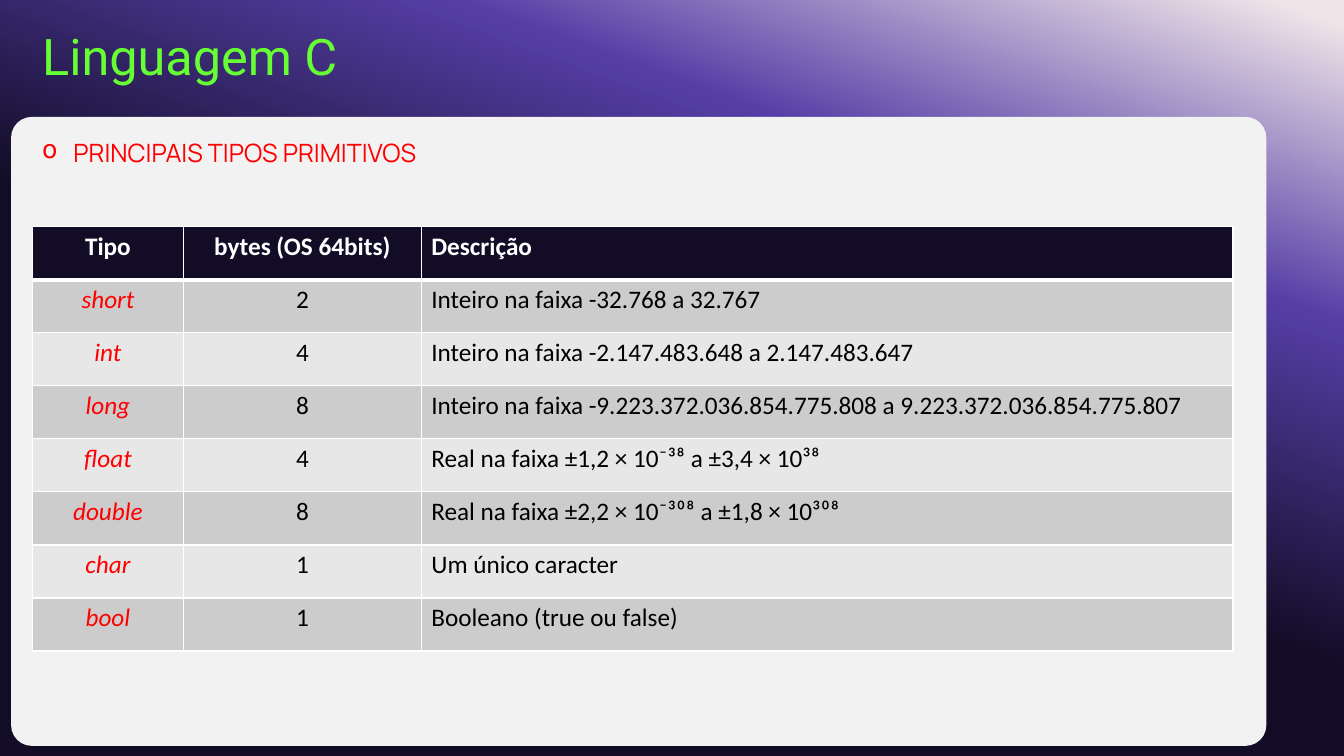
from lxml import etree
from pptx import Presentation
from pptx import util as u
from pptx.dml.color import RGBColor
from pptx.enum import shapes, text
from pptx.oxml.ns import qn

WIDTH, HEIGHT = 13.33, 7.5
LEFT = 0.32
PANEL = (0.11, 1.16, 12.45, 6.24)
COLUMN_SHARES = (0.126, 0.198, 0.676)
GRADIENT = ((2, "EFE4E8"), (26, "553FA6"), (54, "120C26"), (96, "120C26"))
HEADER = ("Tipo", "bytes (OS 64bits)", "Descrição")
TYPES = (
    ("short", "2", "Inteiro na faixa -32.768 a 32.767"),
    ("int", "4", "Inteiro na faixa -2.147.483.648 a 2.147.483.647"),
    ("long", "8", "Inteiro na faixa -9.223.372.036.854.775.808 a 9.223.372.036.854.775.807"),
    ("float", "4", "Real na faixa ±1,2 × 10⁻³⁸ a ±3,4 × 10³⁸"),
    ("double", "8", "Real na faixa ±2,2 × 10⁻³⁰⁸ a ±1,8 × 10³⁰⁸"),
    ("char", "1", "Um único caracter"),
    ("bool", "1", "Booleano (true ou false)"),
)


def rgb(value):
    """Return the colour for a hex string."""
    return RGBColor.from_string(value)


def inches(box):
    """Return a box of lengths as inches."""
    return [u.Inches(v) for v in box]


def write(tf, content, font="Calibri", size=18, color="000000", bold=False,
          italic=False, align=text.PP_ALIGN.LEFT, spacing=None, bullet=None, indent=0.31):
    """Write one formatted paragraph into a text frame."""
    p = tf.paragraphs[0]
    p.alignment = align
    if spacing:
        p.line_spacing = spacing
    if bullet:
        p_pr = p._p.get_or_add_pPr()
        p_pr.set("marL", str(u.Inches(indent)))
        p_pr.set("indent", str(-u.Inches(indent)))
        etree.SubElement(p_pr, qn("a:buChar"), char=bullet)
    r = p.add_run()
    r.text = content
    r.font.name, r.font.size = font, u.Pt(size)
    r.font.bold, r.font.italic = bold, italic
    r.font.color.rgb = rgb(color)


def add_text(s, box, content, anchor=text.MSO_ANCHOR.TOP, **style):
    """Add a wrapped text box."""
    tf = s.shapes.add_textbox(*inches(box)).text_frame
    tf.word_wrap = True
    tf.vertical_anchor = anchor
    write(tf, content, **style)


def paint_background(s):
    """Fill the slide background with the slanted gradient."""
    fill = s.background.fill
    fill.gradient()
    fill.gradient_angle = 250
    stops = s._element.find(".//" + qn("a:gsLst"))
    for stop in list(stops):
        stops.remove(stop)
    for share, color in GRADIENT:
        stop = etree.SubElement(stops, qn("a:gs"), pos=str(share * 1000))
        etree.SubElement(stop, qn("a:srgbClr"), val=color)


def add_panel(s, box):
    """Add the light rounded panel."""
    sp = s.shapes.add_shape(shapes.MSO_SHAPE.ROUNDED_RECTANGLE, *inches(box))
    sp.adjustments[0] = 0.033
    sp.shadow.inherit = False
    sp.fill.solid()
    sp.fill.fore_color.rgb = rgb("F2F2F2")
    sp.line.fill.background()


def set_borders(cell, widths):
    """Draw white cell borders: left, right, top, bottom."""
    tc_pr = cell._tc.get_or_add_tcPr()
    for i, (side, width) in enumerate(zip("LRTB", widths)):
        line = etree.Element(qn("a:ln" + side), w=str(u.Pt(width)))
        fill = etree.SubElement(line, qn("a:solidFill"))
        etree.SubElement(fill, qn("a:srgbClr"), val="FFFFFF")
        tc_pr.insert(i, line)


def add_types_table(s, box):
    """Add the table of primitive types."""
    rows = (HEADER,) + TYPES
    table = s.shapes.add_table(len(rows), len(HEADER), *inches(box)).table
    for column, share in zip(table.columns, COLUMN_SHARES):
        column.width = u.Inches(box[2] * share)
    for i, row in enumerate(rows):
        table.rows[i].height = u.Inches(box[3] / len(rows))
        for j, content in enumerate(row):
            cell = table.cell(i, j)
            head, keyword = i == 0, i > 0 and j == 0
            cell.fill.solid()
            cell.fill.fore_color.rgb = rgb("120C26" if head else ("E7E7E8", "CCCCCD")[i % 2])
            set_borders(cell, (1, 1, 3 if i == 1 else 1, 3 if head else 1))
            write(cell.text_frame, content, bold=head, italic=keyword,
                  color="FFFFFF" if head else "FF0000" if keyword else "000000",
                  align=text.PP_ALIGN.LEFT if j == 2 else text.PP_ALIGN.CENTER)


def main():
    """Build the slide and save it."""
    prs = Presentation()
    prs.slide_width, prs.slide_height = inches((WIDTH, HEIGHT))
    s = prs.slides.add_slide(prs.slide_layouts[6])
    paint_background(s)
    add_panel(s, PANEL)
    add_text(s, (LEFT, 0.11, 12.68, 0.95), "Linguagem C", text.MSO_ANCHOR.MIDDLE,
             font="Roboto", size=36, color="66FF33", spacing=0.9)
    add_text(s, (LEFT, PANEL[1], 11.91, HEIGHT - PANEL[1]), "PRINCIPAIS TIPOS PRIMITIVOS",
             font="Manrope", color="FF0000", spacing=1.5, bullet="o")
    add_types_table(s, (LEFT, 2.25, 11.91, 4.21))
    prs.save("out.pptx")


if __name__ == "__main__":
    main()
